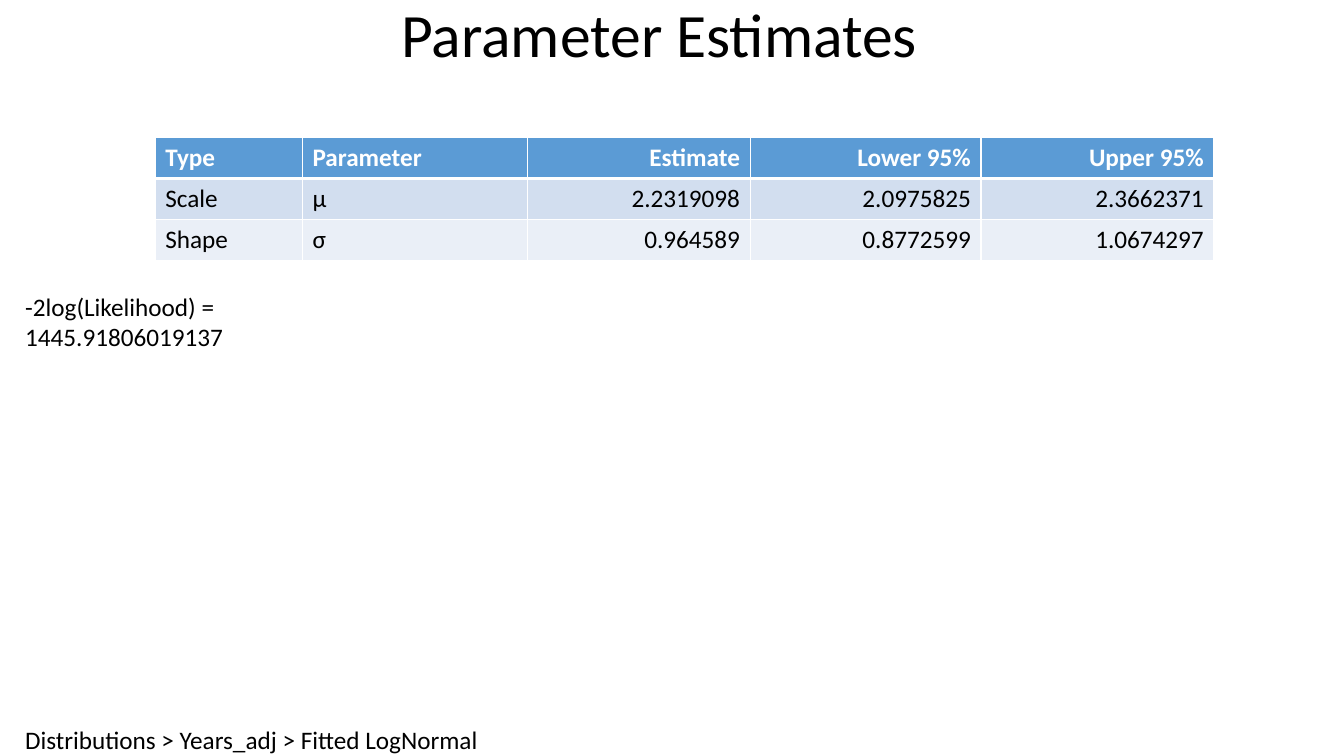
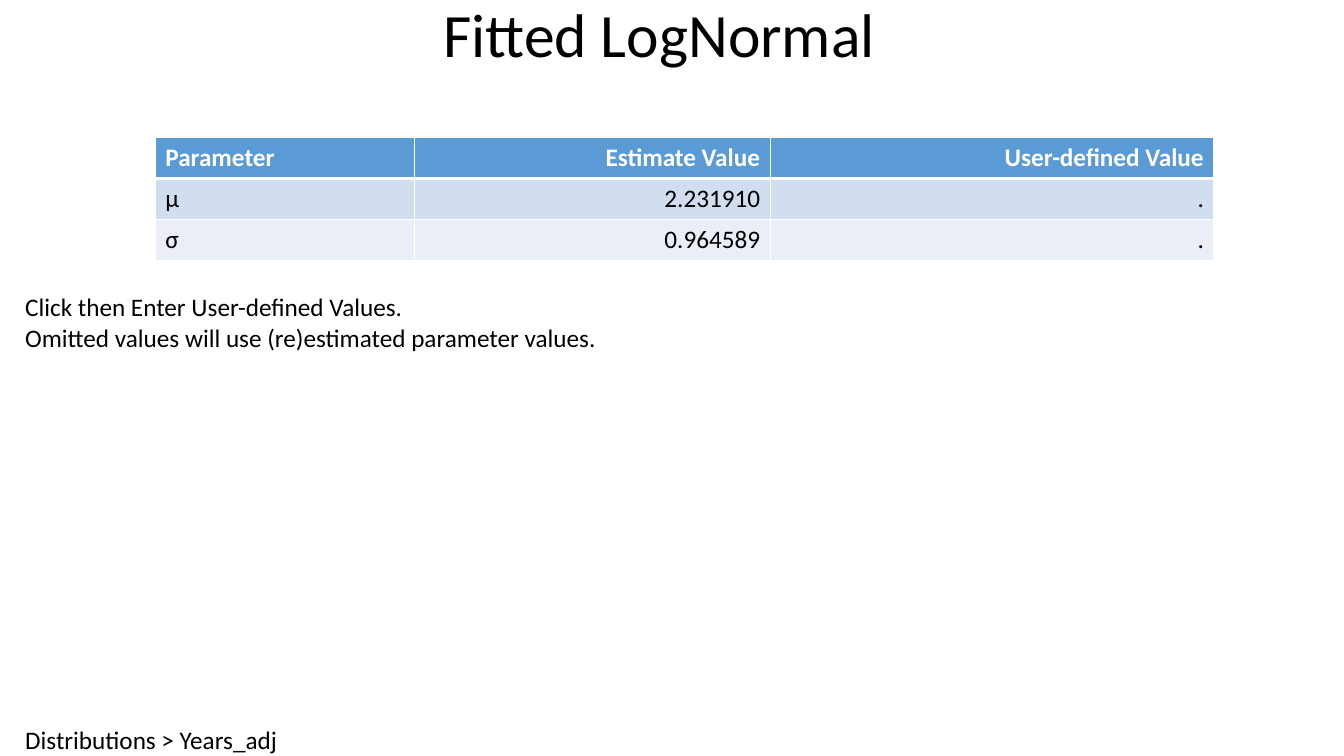
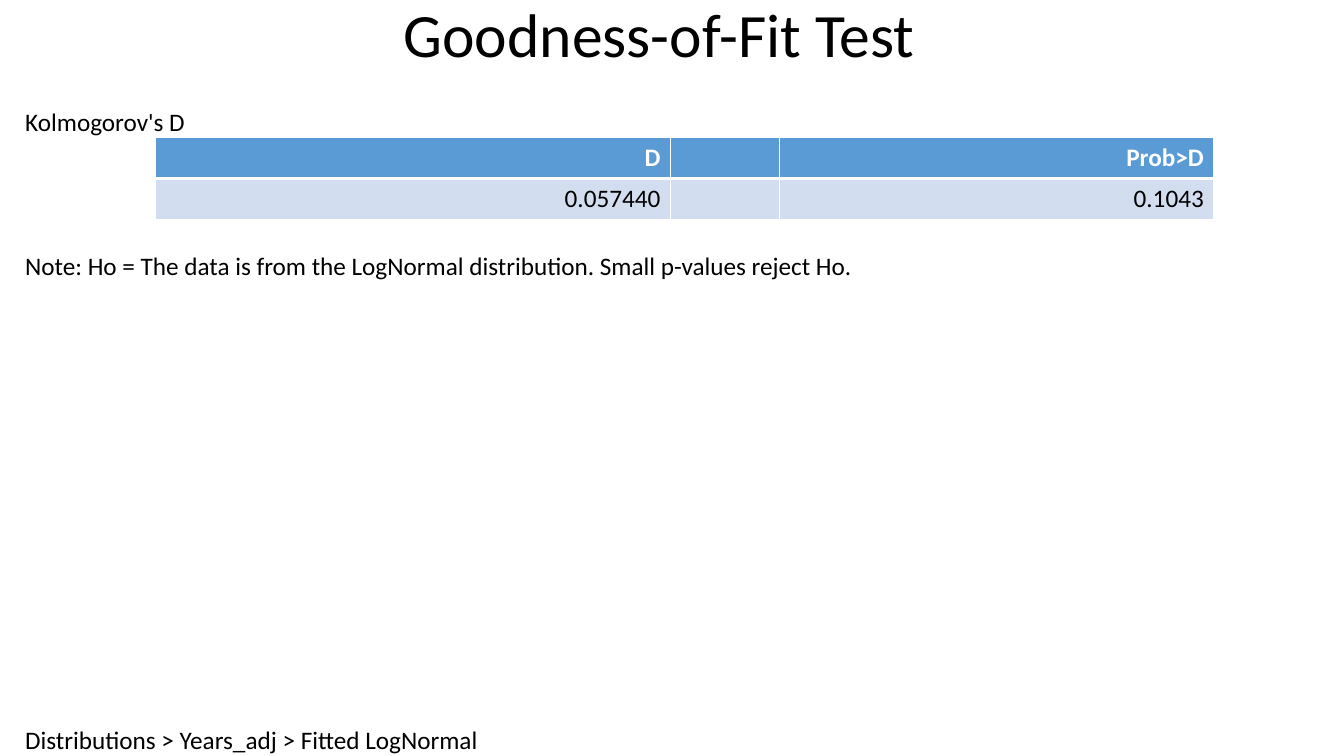
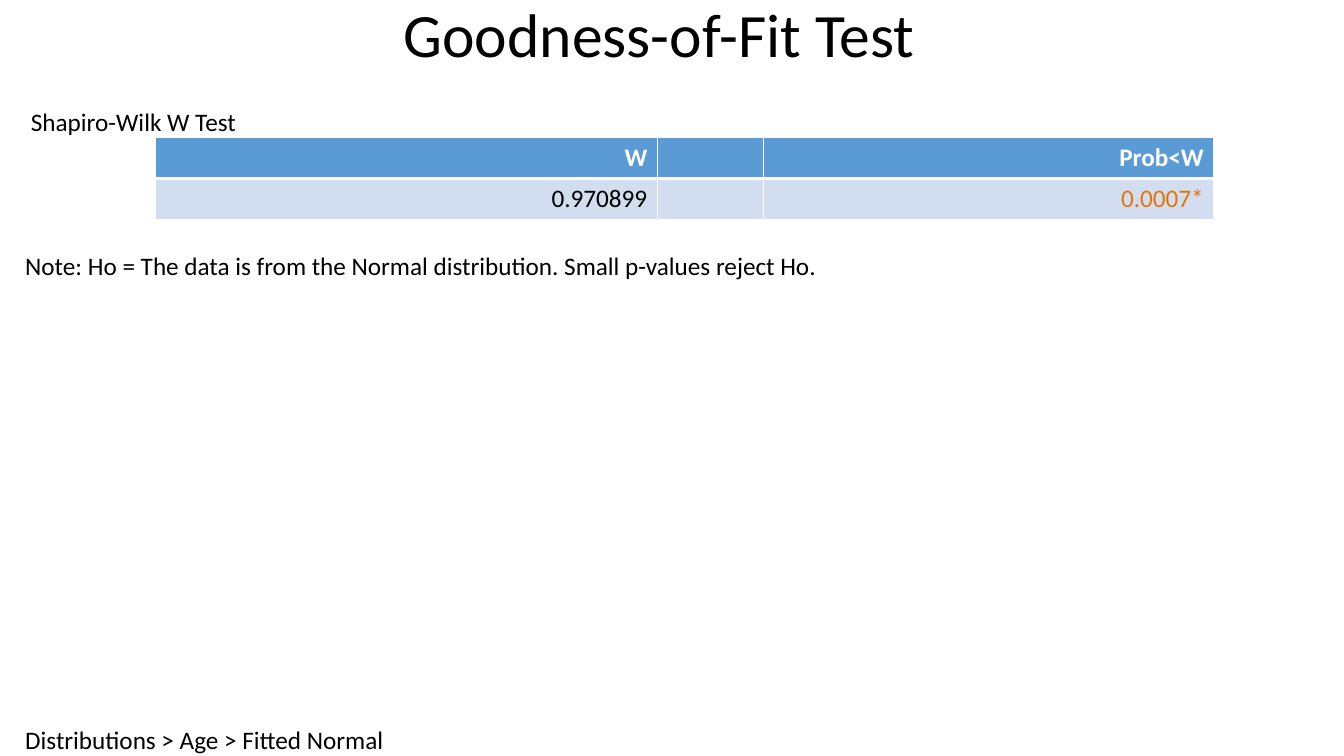
from dataclasses import dataclass

from lxml.etree import SubElement
from pptx import Presentation
from pptx.dml.color import RGBColor
from pptx.enum.text import MSO_ANCHOR as Anchor, MSO_AUTO_SIZE as AutoSize, PP_ALIGN as Align
from pptx.oxml.ns import qn
from pptx.util import Inches, Pt

LEFT, RIGHT = Align.LEFT, Align.RIGHT

# Columns are (heading, width, alignment); notes are (text, width).
REPORTS = [
    {
        "title": "Parameter Estimates",
        "trail": ("Distributions > Years_adj > Fitted LogNormal", 4.56),
        "columns": [("Type", 1.46, LEFT), ("Parameter", 2.23, LEFT), ("Estimate", 2.21, RIGHT),
                    ("Lower 95%", 2.29, RIGHT), ("Upper 95%", 2.31, RIGHT)],
        "rows": [["Scale", "μ", "2.2319098", "2.0975825", "2.3662371"],
                 ["Shape", "σ", "0.964589", "0.8772599", "1.0674297"]],
        "notes": [("-2log(Likelihood) =\v1445.91806019137", 3.9)],
    },
    {
        "title": "Fitted LogNormal",
        "trail": ("Distributions > Years_adj", 2.55),
        "columns": [("Parameter", 2.57, LEFT), ("Estimate Value", 3.53, RIGHT),
                    ("User-defined Value", 4.4, RIGHT)],
        "rows": [["μ", "2.231910", "."], ["σ", "0.964589", "."]],
        "notes": [("Click then Enter User-defined Values.", 3.79),
                  ("Omitted values will use (re)estimated parameter values.", 5.73)],
    },
    {
        "title": "Goodness-of-Fit Test",
        "trail": ("Distributions > Years_adj > Fitted LogNormal", 4.56),
        "test": ("Kolmogorov's D", 1.59),
        "columns": [("D", 5.11, RIGHT), ("", 1.08, LEFT), ("Prob>D", 4.31, RIGHT)],
        "rows": [["0.057440", "", "0.1043"]],
        "notes": [("Note: Ho = The data is from the LogNormal distribution. "
                   "Small p-values reject Ho.", 8.27)],
    },
    {
        "title": "Goodness-of-Fit Test",
        "trail": ("Distributions > Age > Fitted Normal", 3.59),
        "test": (" Shapiro-Wilk W Test", 2.12),
        "columns": [("W", 4.98, RIGHT), ("", 1.05, LEFT), ("Prob<W", 4.47, RIGHT)],
        "rows": [["0.970899", "", "0.0007*"]],
        "notes": [("Note: Ho = The data is from the Normal distribution. "
                   "Small p-values reject Ho.", 7.92)],
    },
]


@dataclass(frozen=True)
class Theme:
    """Colours, type sizes and line widths shared by all slides."""
    font: str = "Calibri"
    ink: str = "000000"
    paper: str = "FFFFFF"
    header: str = "5B9BD5"
    bands: tuple = ("D2DEEF", "EAEFF7")
    significant: str = "E57406"
    title_size: int = 44
    body_size: int = 18
    rule: int = 1
    header_rule: int = 3


THEME = Theme()
SLIDE_W, SLIDE_H = 13.33, 7.5
MARGIN, LINE_H, TITLE_H = 0.25, 0.31, 0.75
TABLE_LEFT, TABLE_TOP, ROW_H = 1.54, 1.36, 0.41
NOTE_GAP = 0.3


def write(frame, text, size=THEME.body_size, color=THEME.ink, bold=False, align=LEFT):
    """Put one styled paragraph into a text frame and return it."""
    paragraph = frame.paragraphs[0]
    paragraph.text = text
    paragraph.alignment = align
    style = {"name": THEME.font, "size": Pt(size), "bold": bold}
    for run in paragraph.runs:
        for name, value in style.items():
            setattr(run.font, name, value)
        run.font.color.rgb = RGBColor.from_string(color)
    return paragraph


def add_title(slide, text):
    """Add the centred slide title."""
    box = slide.shapes.add_textbox(0, 0, Inches(SLIDE_W - MARGIN), Inches(TITLE_H))
    frame = box.text_frame
    frame.word_wrap = True
    frame.vertical_anchor = Anchor.MIDDLE
    write(frame, text, THEME.title_size, align=Align.CENTER).line_spacing = 0.9


def add_line(slide, line, top):
    """Add a line of body text at the left margin."""
    text, width = line
    box = slide.shapes.add_textbox(Inches(MARGIN), Inches(top), Inches(width), Inches(LINE_H))
    layout = {"margin_left": 0, "margin_top": 0, "margin_right": 0, "margin_bottom": 0,
              "word_wrap": False, "auto_size": AutoSize.SHAPE_TO_FIT_TEXT}
    for name, value in layout.items():
        setattr(box.text_frame, name, value)
    write(box.text_frame, text)


def set_borders(cell, top, bottom):
    """Draw the cell's four borders, with the given top and bottom widths."""
    properties = cell._tc.get_or_add_tcPr()
    widths = {"a:lnL": THEME.rule, "a:lnR": THEME.rule, "a:lnT": top, "a:lnB": bottom}
    for tag, width in widths.items():
        border = SubElement(properties, qn(tag), w=str(Pt(width)))
        SubElement(SubElement(border, qn("a:solidFill")), qn("a:srgbClr"), val=THEME.paper)


def add_estimates(slide, columns, rows):
    """Add the banded table and return its bottom edge in inches."""
    grid = [[heading for heading, _, _ in columns], *rows]
    width, height = sum(width for _, width, _ in columns), ROW_H * len(grid)
    table = slide.shapes.add_table(len(grid), len(columns), Inches(TABLE_LEFT), Inches(TABLE_TOP),
                                   Inches(width), Inches(height)).table
    for c, (_, column_width, align) in enumerate(columns):
        table.columns[c].width = Inches(column_width)
        for r, values in enumerate(grid):
            cell, is_header = table.cell(r, c), r == 0
            set_borders(cell, THEME.header_rule if r == 1 else THEME.rule,
                        THEME.header_rule if is_header else THEME.rule)
            fill = THEME.header if is_header else THEME.bands[(r - 1) % 2]
            cell.fill.solid()
            cell.fill.fore_color.rgb = RGBColor.from_string(fill)
            color = THEME.paper if is_header else THEME.ink
            if values[c].endswith("*"):
                color = THEME.significant
            write(cell.text_frame, values[c], color=color, bold=is_header, align=align)
    return TABLE_TOP + height


def add_report(deck, report):
    """Add one slide: footer trail, title, table and its notes."""
    slide = deck.slides.add_slide(deck.slide_layouts[6])
    add_line(slide, report["trail"], SLIDE_H - LINE_H)
    add_title(slide, report["title"])
    if "test" in report:
        add_line(slide, report["test"], TABLE_TOP - LINE_H)
    notes_top = add_estimates(slide, report["columns"], report["rows"]) + NOTE_GAP
    for i, note in enumerate(report["notes"]):
        add_line(slide, note, notes_top + i * LINE_H)


deck = Presentation()
deck.slide_width, deck.slide_height = Inches(SLIDE_W), Inches(SLIDE_H)
for report in REPORTS:
    add_report(deck, report)
deck.save("out.pptx")
